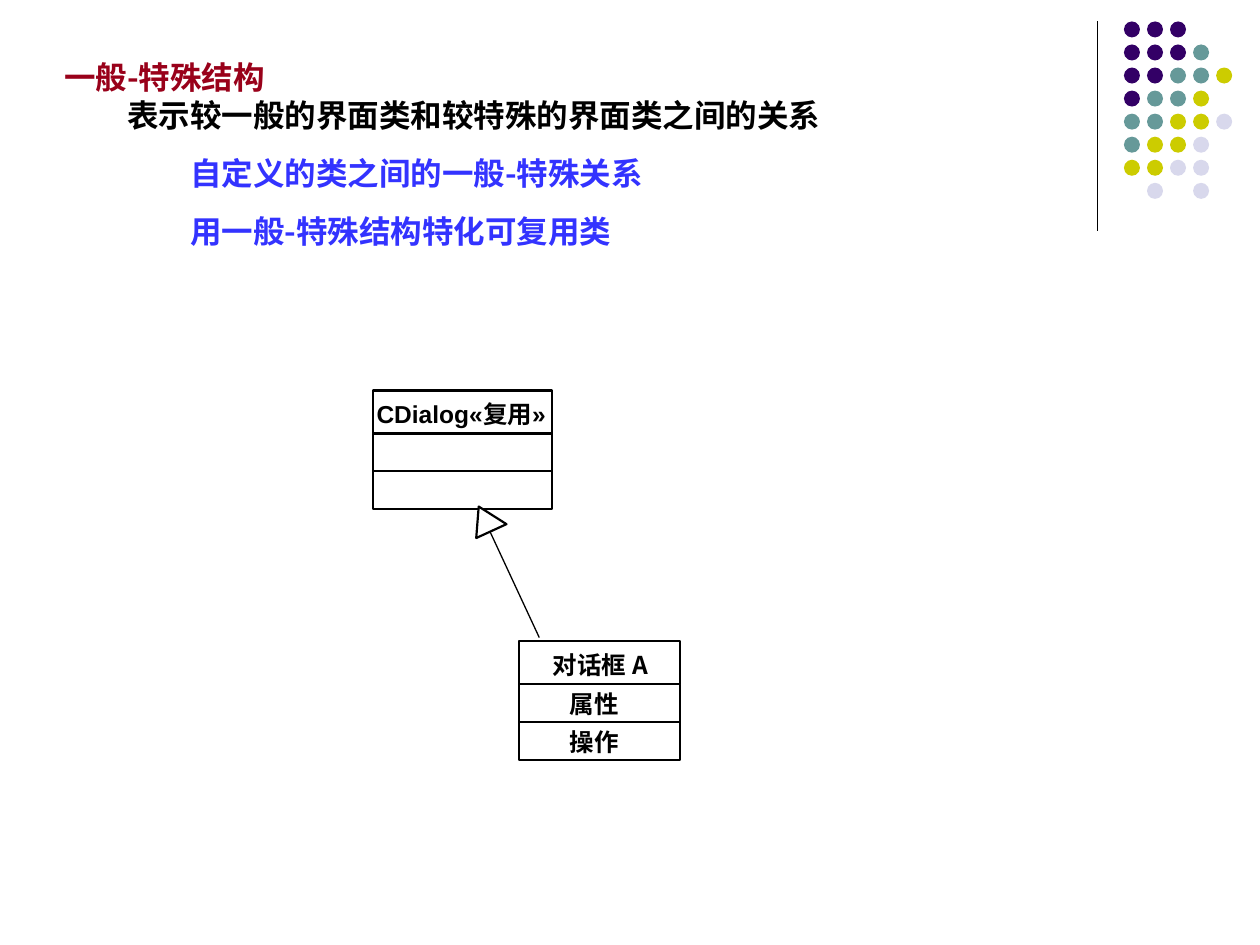
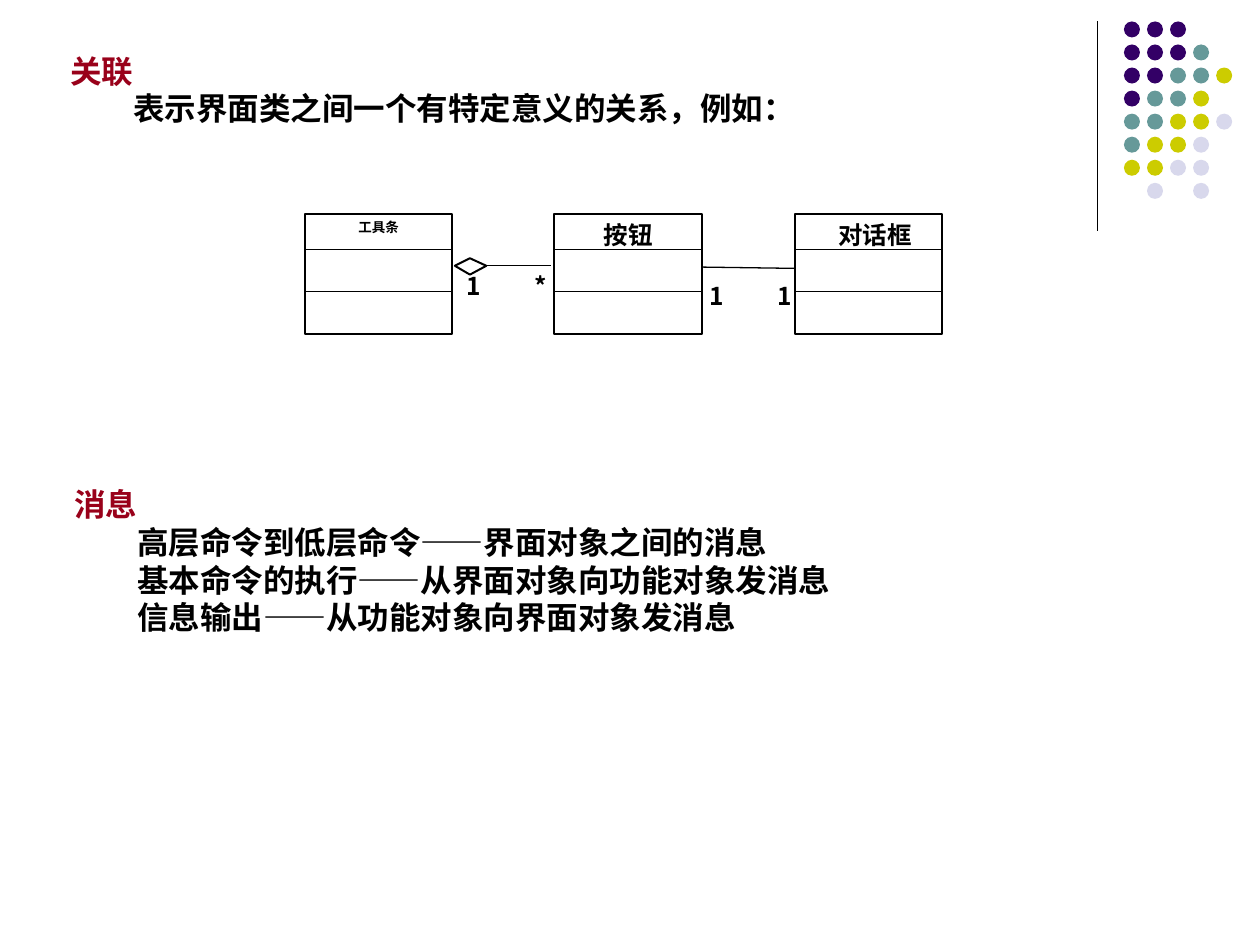
import pptx
import pptx.dml.color
import pptx.enum.shapes
import pptx.enum.text
import pptx.oxml.ns
import pptx.util
from lxml import etree

COLS, ROWS = 100, 75  # grid over the 10 x 7.5 inch slide
SHAPE = pptx.enum.shapes.MSO_SHAPE
ALIGN = pptx.enum.text.PP_ALIGN
CJK = "Noto Sans CJK SC"
BLACK, WHITE, RED, BLUE = "000000", "FFFFFF", "99011A", "3333FF"
DOT_COLORS = {"P": "330066", "T": "669999", "Y": "CCCC00", "L": "D8D8EC"}
DOT_ROWS = ["PPP", "PPPT", "PPTTY", "PTTY", "TTYYL", "TYYL", "YYLL", " L L"]
DOT_PITCH, DOT_SIZE = 1.83, 1.27


def rgb(value):
    return pptx.dml.color.RGBColor.from_string(value)


def assign(target, values):
    for name, value in values.items():
        setattr(target, name, value)


class Deck:
    def __init__(self):
        self.prs = pptx.Presentation()
        assign(self.prs, {"slide_width": pptx.util.Inches(10),
                          "slide_height": pptx.util.Inches(7.5)})

    def x(self, col):
        return round(self.prs.slide_width * col / COLS)

    def y(self, row):
        return round(self.prs.slide_height * row / ROWS)

    def box(self, col, row, width, height):
        return self.x(col), self.y(row), self.x(width), self.y(height)

    def new_slide(self):
        """Start a slide with the rule and dots in its top right corner."""
        self.slide = self.prs.slides.add_slide(self.prs.slide_layouts[6])
        self.line(87.1, 1.7, 87.1, 18.3)
        for j, dots in enumerate(DOT_ROWS):
            for i, key in enumerate(dots):
                if key in DOT_COLORS:
                    self.shape(SHAPE.OVAL, 89.2 + i * DOT_PITCH, 1.7 + j * DOT_PITCH,
                               DOT_SIZE, DOT_SIZE, fill=DOT_COLORS[key])

    def style(self, sp, fill=None, weight=None):
        sp.shadow.inherit = False
        if fill:
            sp.fill.solid()
            sp.fill.fore_color.rgb = rgb(fill)
        else:
            sp.fill.background()
        if weight:
            sp.line.color.rgb = rgb(BLACK)
            sp.line.width = pptx.util.Pt(weight)
        else:
            sp.line.fill.background()

    def shape(self, kind, col, row, width, height, fill=None, weight=None):
        sp = self.slide.shapes.add_shape(kind, *self.box(col, row, width, height))
        self.style(sp, fill, weight)

    def polygon(self, points, fill=None, weight=1.25):
        (x0, y0), *rest = [(self.x(c), self.y(r)) for c, r in points]
        builder = self.slide.shapes.build_freeform(x0, y0)
        builder.add_line_segments(rest, close=True)
        self.style(builder.convert_to_shape(), fill, weight)

    def line(self, col1, row1, col2, row2):
        sp = self.slide.shapes.add_connector(
            pptx.enum.shapes.MSO_CONNECTOR.STRAIGHT,
            self.x(col1), self.y(row1), self.x(col2), self.y(row2))
        sp.line.color.rgb = rgb(BLACK)
        sp.line.width = pptx.util.Pt(0.75)
        etree.SubElement(sp._element.spPr, pptx.oxml.ns.qn("a:effectLst"))

    def text(self, col, row, width, height, paragraphs, size=18, font=CJK,
             wrap=True, align=ALIGN.LEFT):
        """Each paragraph is (text, level, colour, points of space before)."""
        sp = self.slide.shapes.add_textbox(*self.box(col, row, width, height))
        tf = sp.text_frame
        assign(tf, {"word_wrap": wrap, "margin_left": 0, "margin_right": 0,
                    "margin_top": 0, "margin_bottom": 0})
        for i, (words, level, color, before) in enumerate(paragraphs):
            p = tf.add_paragraph() if i else tf.paragraphs[0]
            assign(p, {"level": level, "alignment": align,
                       "line_spacing": pptx.util.Pt(size * 1.2),
                       "space_before": pptx.util.Pt(before)})
            pPr = p._p.get_or_add_pPr()
            pPr.set("marL", str(self.x(5 * level)))
            pPr.set("indent", "0")
            r = p.add_run()
            r.text = words
            assign(r.font, {"name": font, "size": pptx.util.Pt(size), "bold": True})
            r.font.color.rgb = rgb(color)
            ea = etree.SubElement(r._r.get_or_add_rPr(), pptx.oxml.ns.qn("a:ea"))
            ea.set("typeface", CJK)

    def label(self, col, row, width, words, size=14, font=CJK):
        self.text(col, row, width, 2.3, [(words, 0, BLACK, 0)], size, font,
                  wrap=False, align=ALIGN.CENTER)

    def stacked_class(self, col, row, width):
        """Class symbol made of three filled compartments."""
        for offset, height in ((6.4, 3), (3.4, 3), (0, 3.4)):
            self.shape(SHAPE.RECTANGLE, col, row + offset, width, height, WHITE, 1.25)

    def ruled_class(self, col, row):
        """Class symbol made of one outline and two dividers."""
        width = 11.7
        self.shape(SHAPE.RECTANGLE, col, row, width, 9.5, weight=1.13)
        for offset in (2.8, 6.15):
            self.line(col, row + offset, col + width, row + offset)


def inheritance_slide(deck):
    deck.new_slide()
    deck.text(5.1, 4.6, 80, 15.3, [
        ("一般-特殊结构", 0, RED, 0),
        ("表示较一般的界面类和较特殊的界面类之间的关系", 1, BLACK, 0),
        ("自定义的类之间的一般-特殊关系", 2, BLUE, 11.7),
        ("用一般-特殊结构特化可复用类", 2, BLUE, 11.7)])
    # General class
    deck.stacked_class(29.6, 31, 14.2)
    deck.label(29.4, 31.7, 14.4, "CDialog«复用»", font="Arial")
    # Special class
    deck.stacked_class(41.2, 50.9, 12.8)
    for col, row, width, words in ((43.6, 51.6, 8.1, "对话框 A"),
                                   (45.2, 54.7, 3.9, "属性"),
                                   (45.2, 57.7, 3.9, "操作")):
        deck.label(col, row, width, words)
    # Generalization arrow
    deck.line(38.8, 42, 42.8, 50.6)
    deck.polygon([(37.8, 42.7), (40.2, 41.6), (38, 40.2)], WHITE)


def association_slide(deck):
    deck.new_slide()
    deck.text(5.6, 4.1, 80, 6, [
        ("关联", 0, RED, 0),
        ("表示界面类之间一个有特定意义的关系，例如：", 1, BLACK, 0)], font="Arial")
    # Classes
    for col in (24.2, 44, 63.1):
        deck.ruled_class(col, 17)
    deck.label(25.7, 17.4, 8.7, "工具条", size=7.7, font="Arial")
    deck.label(47.9, 17.5, 3.9, "按钮")
    deck.label(66.5, 17.5, 5.9, "对话框")
    # Aggregation and association, with multiplicities
    deck.polygon([(37.3, 21.8), (36.1, 21.1), (37.3, 20.5), (38.6, 21.1)], weight=1.13)
    deck.line(38.6, 21.1, 43.7, 21.1)
    deck.line(55.7, 21.2, 63.1, 21.3)
    for col, row, words in ((37, 21.5, "1"), (42.4, 21.5, "*"),
                            (56.3, 22.3, "1"), (61.7, 22.3, "1")):
        deck.label(col, row, 1.1, words)
    # Messages
    deck.text(5.9, 38.5, 80, 12, [
        ("消息", 0, RED, 0),
        ("高层命令到低层命令——界面对象之间的消息", 1, BLACK, 0),
        ("基本命令的执行——从界面对象向功能对象发消息", 1, BLACK, 0),
        ("信息输出——从功能对象向界面对象发消息", 1, BLACK, 0)], font="Arial")


def main():
    deck = Deck()
    inheritance_slide(deck)
    association_slide(deck)
    deck.prs.save("out.pptx")


if __name__ == "__main__":
    main()
